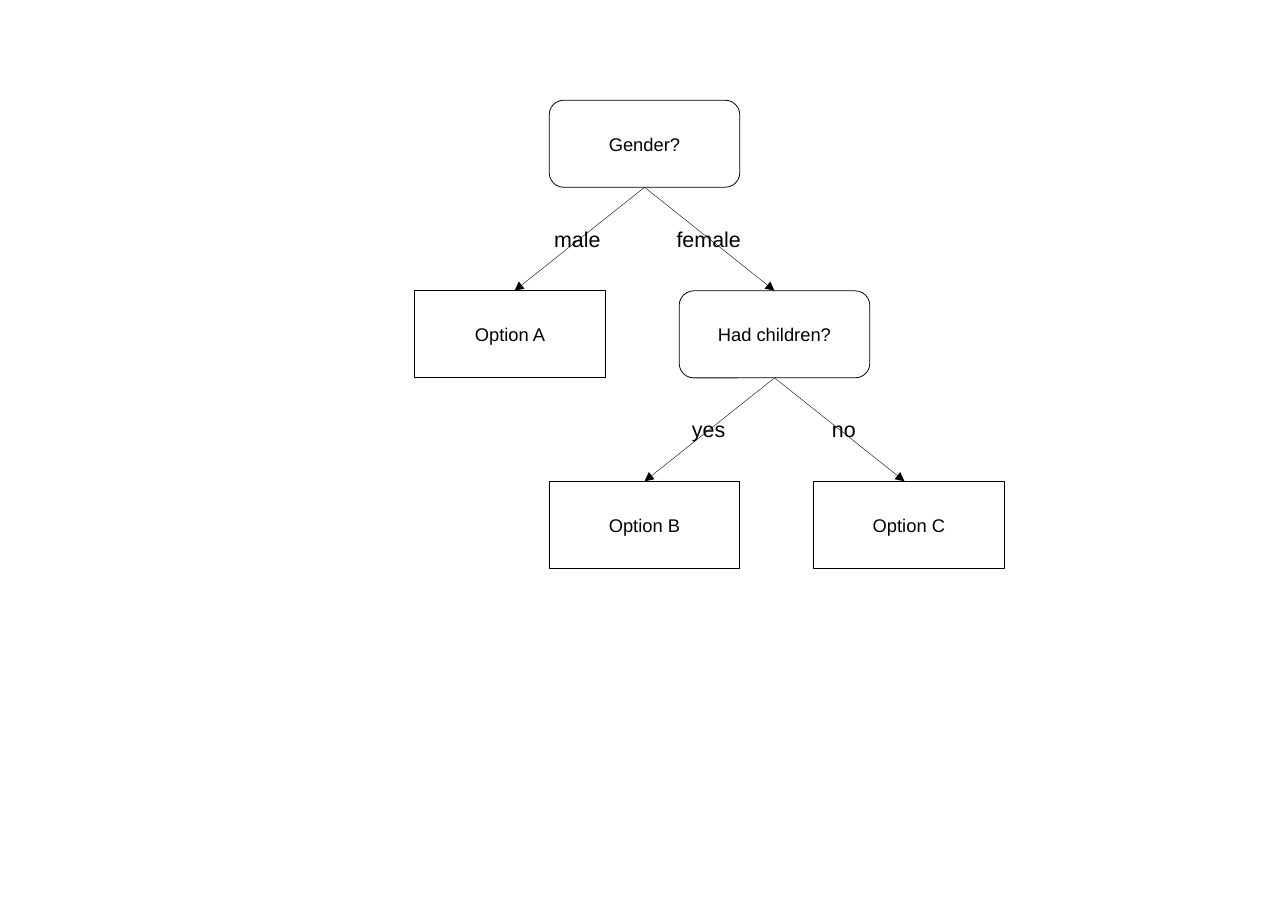
from pptx import Presentation, util as u
from pptx.dml.color import RGBColor
from pptx.enum import shapes, text
from pptx.oxml.ns import qn
from lxml import etree

# Grid: a column is half the distance between siblings, a row is one tree level
LEFT, TOP = 5.85, 0.91
COLUMN, ROW = 1.18, 1.73
BOX_W, BOX_H = 1.73, 0.79
LABEL_H, LABEL_DROP = 0.24, 1.14
BLACK = "000000"


def colour(hex_code):
    return RGBColor.from_string(hex_code)


def write(frame, words, size, align, formats):
    for key, value in formats.items():
        setattr(frame, key, value)
    paragraph = frame.paragraphs[0]
    paragraph.alignment = align
    run = paragraph.add_run()
    run.text = words
    run.font.name, run.font.size = "Arial", u.Pt(size)
    run.font.color.rgb = colour(BLACK)


deck = Presentation()
deck.slide_width, deck.slide_height = u.Inches(11.69), u.Inches(8.27)
slide = deck.slides.add_slide(deck.slide_layouts[6])
margins = ("margin_left", "margin_top", "margin_right", "margin_bottom")

# Questions and outcomes: wording, column, row, sideways nudge, corner rounding
nodes = [
    ("Gender?", 0, 0, 0, 0.167),
    ("Option A", -1, 1, -0.04, 0),
    ("Had children?", 1, 1, 0, 0.167),
    ("Option B", 0, 2, 0, 0),
    ("Option C", 2, 2, 0.04, 0),
]
node_format = dict.fromkeys(margins, u.Inches(0.04))
node_format.update(word_wrap=True, vertical_anchor=text.MSO_ANCHOR.MIDDLE)
for words, column, row, nudge, rounding in nodes:
    node = slide.shapes.add_shape(
        shapes.MSO_SHAPE.ROUNDED_RECTANGLE,
        u.Inches(LEFT + column * COLUMN + nudge - BOX_W / 2),
        u.Inches(TOP + row * ROW), u.Inches(BOX_W), u.Inches(BOX_H))
    node.adjustments[0] = rounding
    node.shadow.inherit = False
    node.fill.background()
    node.line.color.rgb = colour(BLACK)
    node.line.width = u.Pt(0.5)
    write(node.text_frame, words, 12, text.PP_ALIGN.CENTER, node_format)

# Answers: wording, parent column and row, direction, label left and width
answers = [
    ("male", 0, 0, -1, 5.03, 0.46),
    ("female", 0, 0, 1, 6.14, 0.62),
    ("yes", 1, 1, -1, 6.28, 0.34),
    ("no", 1, 1, 1, 7.55, 0.25),
]
label_format = dict.fromkeys(margins, 0)
label_format.update(word_wrap=False, auto_size=text.MSO_AUTO_SIZE.SHAPE_TO_FIT_TEXT)
for words, column, row, direction, label_left, label_width in answers:
    # Arrow from the question to what follows
    arrow = slide.shapes.add_connector(
        shapes.MSO_CONNECTOR.STRAIGHT,
        u.Inches(LEFT + column * COLUMN), u.Inches(TOP + row * ROW + BOX_H),
        u.Inches(LEFT + (column + direction) * COLUMN), u.Inches(TOP + (row + 1) * ROW))
    arrow.line.color.rgb = colour(BLACK)
    arrow.line.width = u.Pt(0.25)
    line_xml = arrow._element.spPr.find(qn("a:ln"))
    etree.SubElement(line_xml, qn("a:tailEnd"), type="triangle")
    etree.SubElement(arrow._element.spPr, qn("a:effectLst"))

    # Answer on the arrow
    label = slide.shapes.add_textbox(
        u.Inches(label_left), u.Inches(TOP + row * ROW + LABEL_DROP),
        u.Inches(label_width), u.Inches(LABEL_H))
    write(label.text_frame, words, 14, text.PP_ALIGN.LEFT, label_format)

deck.save("out.pptx")
